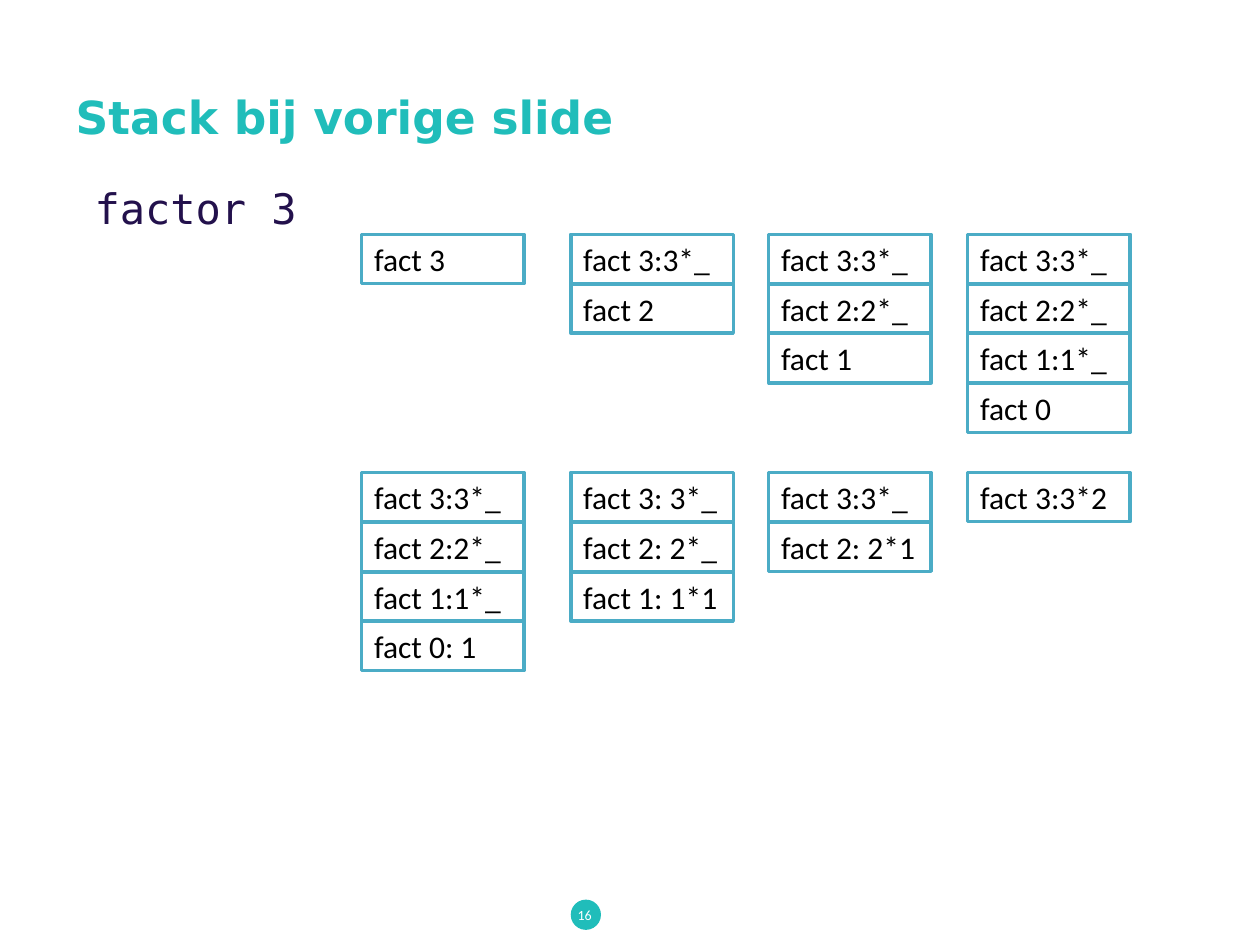
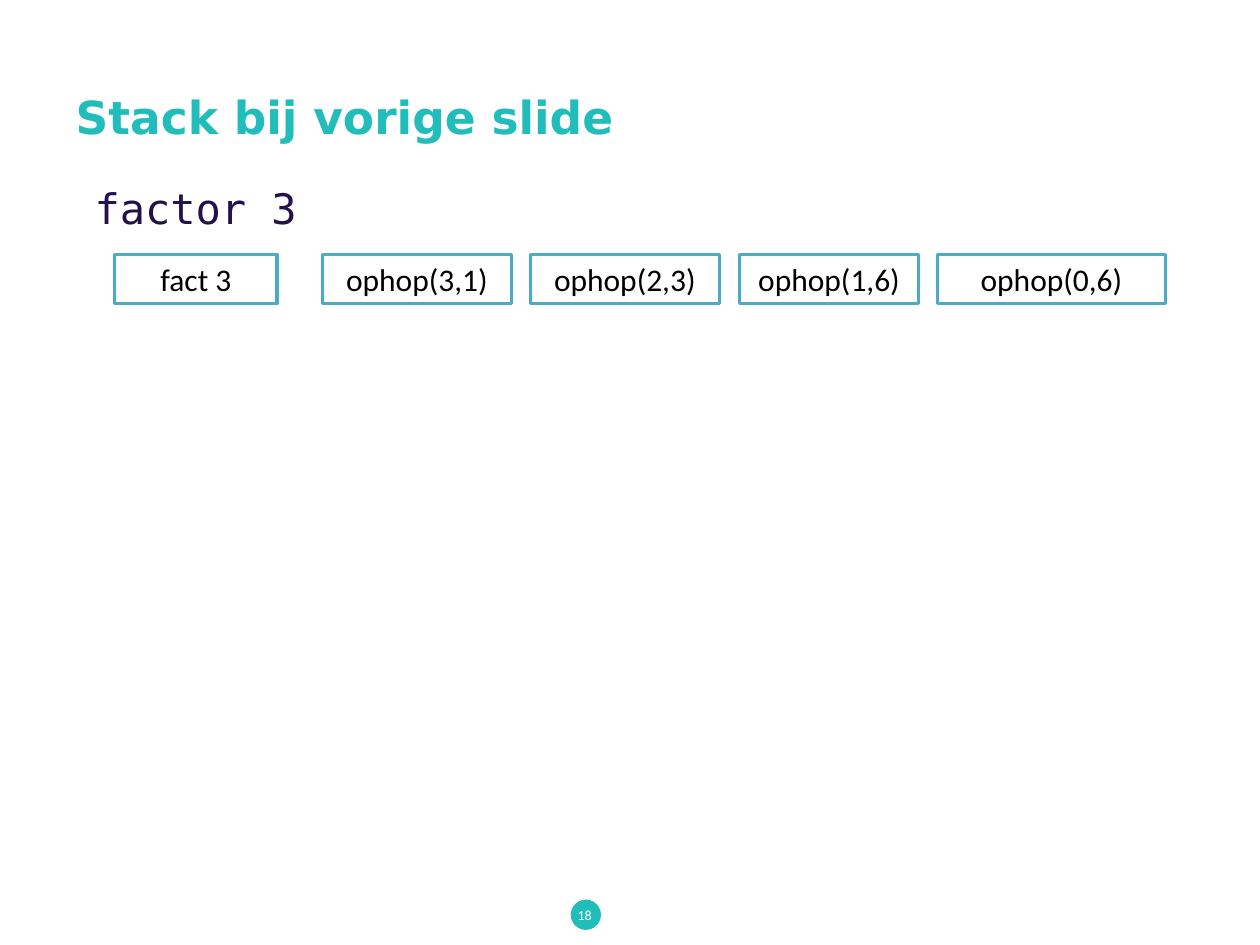
from pptx import Presentation
from pptx.dml.color import RGBColor
from pptx.enum.shapes import MSO_SHAPE
from pptx.enum.text import MSO_ANCHOR, MSO_AUTO_SIZE, PP_ALIGN
from pptx.oxml.ns import qn
from pptx.util import Inches, Pt

RECT, OVAL = MSO_SHAPE.RECTANGLE, MSO_SHAPE.OVAL
LEFT, CENTER = PP_ALIGN.LEFT, PP_ALIGN.CENTER
MIDDLE, TOP = MSO_ANCHOR.MIDDLE, MSO_ANCHOR.TOP

# Content
TITLE, CALL = "Stack bij vorige slide", "factor 3"
STACKS = [  # one list per row, each stack from top to bottom
    [["fact 3"],
     ["fact 3:3*_", "fact 2"],
     ["fact 3:3*_", "fact 2:2*_", "fact 1"],
     ["fact 3:3*_", "fact 2:2*_", "fact 1:1*_", "fact 0"]],
    [["fact 3:3*_", "fact 2:2*_", "fact 1:1*_", "fact 0: 1"],
     ["fact 3: 3*_", "fact 2: 2*_", "fact 1: 1*1"],
     ["fact 3:3*_", "fact 2: 2*1"],
     ["fact 3:3*2"]],
]
STEPS = [  # text, left, width
    ("fact 3", 0.91, 1.29),
    ("ophop(3,1)", 2.56, 1.5),
    ("ophop(2,3)", 4.21, 1.5),
    ("ophop(1,6)", 5.87, 1.42),
    ("ophop(0,6)", 7.44, 1.81),
]

# Shared look
TEAL, NAVY, BLUE, WHITE, BLACK = "20BDBA", "23114C", "4BACC6", "FFFFFF", "000000"
SANS, MONO, PLAIN = "DejaVu Sans", "DejaVu Sans Mono", "Calibri"

# Stack grid, in inches
COLS = [2.87, 4.53, 6.1, 7.68]
ROWS = [1.86, 3.75]
CELL_W, CELL_H, PITCH = 1.29, 0.39, 0.394
STEP_TOP = 2.02


def color(code):
    return RGBColor.from_string(code)


def place(shape, *box):
    shape.left, shape.top, shape.width, shape.height = map(Inches, box)


def write(shape, text, face, size, ink, align=LEFT, anchor=MIDDLE, bold=False):
    frame = shape.text_frame
    frame.text = text
    frame.word_wrap = True
    frame.auto_size = MSO_AUTO_SIZE.NONE
    frame.vertical_anchor = anchor
    para = frame.paragraphs[0]
    para.alignment = align
    para.space_before = Pt(0)
    font = para.runs[0].font
    font.name, font.size, font.bold = face, Pt(size), bold
    font.color.rgb = color(ink)


def draw(slide, kind, box, fill):
    shape = slide.shapes.add_shape(kind, *map(Inches, box))
    shape.shadow.inherit = False
    shape.fill.solid()
    shape.fill.fore_color.rgb = color(fill)
    shape.line.fill.background()
    return shape


def add_cell(slide, text, left, top, width, align):
    cell = draw(slide, RECT, (left, top, width, CELL_H), WHITE)
    cell.line.color.rgb = color(BLUE)
    cell.line.width = Pt(2)
    write(cell, text, PLAIN, 18, BLACK, align)


def add_slide(deck, number):
    slide = deck.slides.add_slide(deck.slide_layouts[1])
    # Page number on its dot
    draw(slide, OVAL, (4.53, 7.14, 0.24, 0.24), TEAL)
    page = slide.shapes.add_textbox(*map(Inches, (3.5, 7.06, 2.28, 0.4)))
    write(page, str(number), PLAIN, 8, WHITE, CENTER)
    # Title and call
    title, body = slide.placeholders
    place(title, 0.5, 0.3, 9, 1.25)
    write(title, TITLE, SANS, 26, TEAL, bold=True)
    place(body, 0.65, 1.4, 9, 4.71)
    body.text_frame.text = CALL
    write(body, CALL, MONO, 24, NAVY, anchor=TOP)
    props = body.text_frame.paragraphs[0]._p.get_or_add_pPr()
    props.set("marL", "0")
    props.set("indent", "0")
    props.append(props.makeelement(qn("a:buNone"), {}))
    return slide


def main():
    deck = Presentation()
    deck.slide_width, deck.slide_height = Inches(10), Inches(7.5)

    # Growing and shrinking stacks
    slide = add_slide(deck, 16)
    for top, row in zip(ROWS, STACKS):
        for left, stack in zip(COLS, row):
            for level, text in enumerate(stack):
                add_cell(slide, text, left, top + level * PITCH, CELL_W, LEFT)

    # One frame per step
    slide = add_slide(deck, 18)
    for text, left, width in STEPS:
        add_cell(slide, text, left, STEP_TOP, width, CENTER)

    deck.save("out.pptx")


if __name__ == "__main__":
    main()
